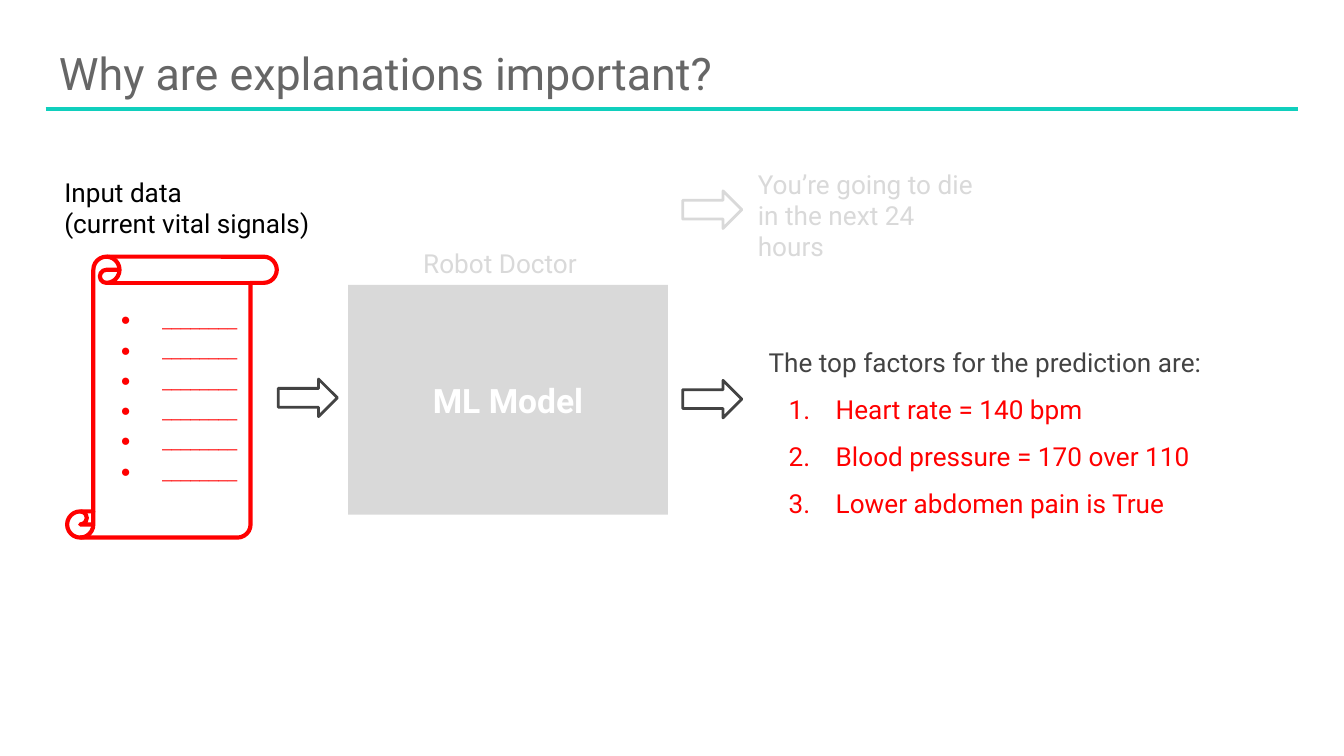
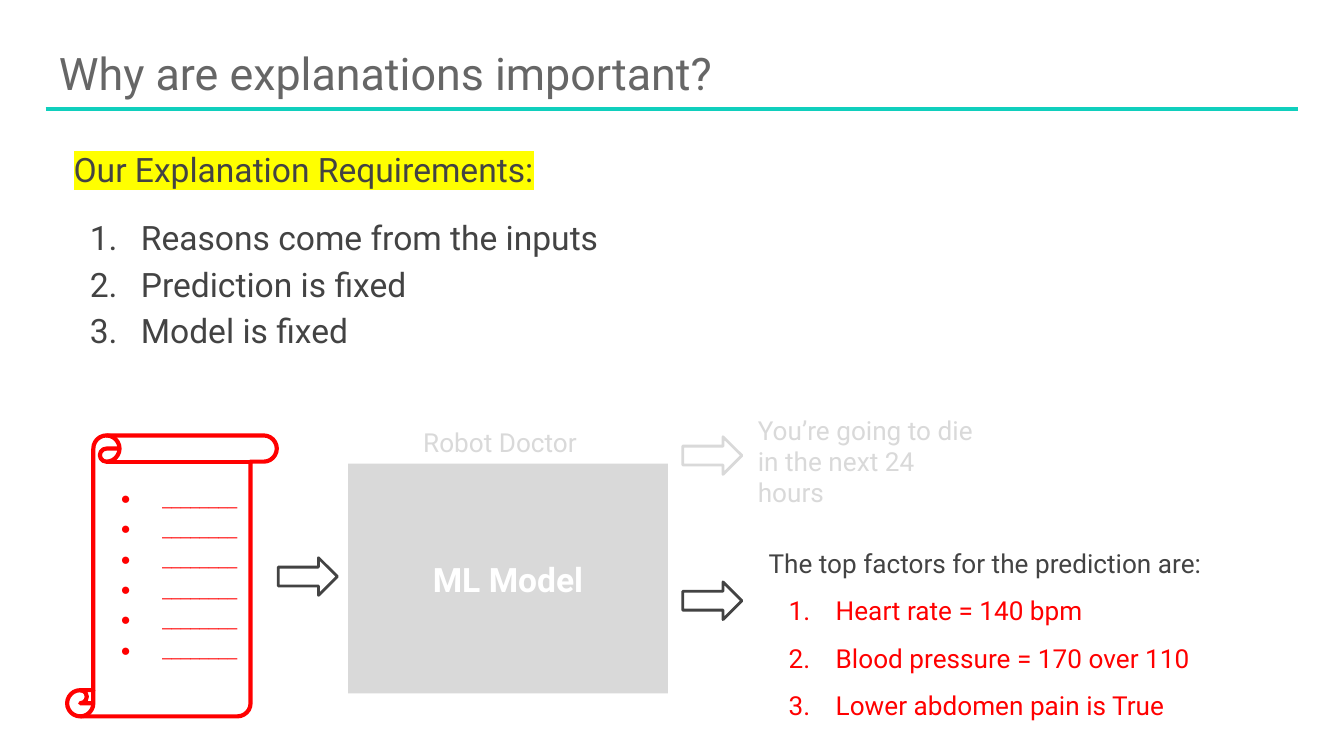
from pptx import Presentation
from pptx.dml.color import RGBColor
from pptx.enum.shapes import MSO_CONNECTOR as Connector, MSO_SHAPE as Shape
from pptx.enum.text import MSO_ANCHOR as Anchor, PP_ALIGN as Align
from pptx.oxml.ns import qn
from pptx.util import Inches, Pt
from lxml.etree import SubElement

SLIDE_WIDTH = 10
SLIDE_HEIGHT = SLIDE_WIDTH * 9 / 16

WHITE = RGBColor(0xFF, 0xFF, 0xFF)
BLACK = RGBColor(0x00, 0x00, 0x00)
DARK = RGBColor(0x43, 0x43, 0x43)
TITLE_GRAY = RGBColor(0x66, 0x66, 0x66)
FADED = RGBColor(0xD9, 0xD9, 0xD9)
TEAL = RGBColor(0x10, 0xCF, 0xBD)
RED = RGBColor(0xFF, 0x00, 0x00)
YELLOW = RGBColor(0xFF, 0xFF, 0x00)

TITLE = dict(name="Roboto", size=Pt(24), color=TITLE_GRAY)
HEADING = dict(name="Roboto", size=Pt(18), color=DARK)
MODEL = dict(name="Roboto", size=Pt(18), color=WHITE, bold=True)
BODY = dict(name="Roboto", size=Pt(14), color=DARK)
INPUT_LABEL = {**BODY, "color": BLACK}
FADED_BODY = {**BODY, "color": FADED}
FACTOR = {**BODY, "color": RED}
SCROLL_ROW = dict(name="Arial", size=Pt(9), color=RED)

ARROW_WIDTH, ARROW_HEIGHT = 0.44, 0.28
INPUT_LEFT, MODEL_LEFT, OUTPUT_LEFT = 0.5, 2.59, 5.08


def set_marker(paragraph, font_format, indent, bullet=None):
    """Hang the paragraph behind a bullet, or behind a number if none is given."""
    properties = paragraph._p.get_or_add_pPr()
    properties.set("marL", str(Inches(0.5)))
    properties.set("indent", str(-Inches(indent)))
    marker_color = SubElement(properties, qn("a:buClr"))
    SubElement(marker_color, qn("a:srgbClr"), val=str(font_format["color"]))
    SubElement(properties, qn("a:buFont"), typeface=font_format["name"])
    if bullet:
        SubElement(properties, qn("a:buChar"), char=bullet)
    else:
        SubElement(properties, qn("a:buAutoNum"), type="arabicPeriod")


def highlight(run, color):
    element = SubElement(run._r.get_or_add_rPr(), qn("a:highlight"))
    SubElement(element, qn("a:srgbClr"), val=str(color))
    run.font.fill._xPr.find(qn("a:solidFill")).addnext(element)


def write_lines(frame, lines, **paragraph_format):
    """Fill the frame with (text, font format) lines and return the paragraphs."""
    frame.word_wrap = True
    for side in ("left", "top", "right", "bottom"):
        setattr(frame, f"margin_{side}", Inches(0.1))
    for index, (text, font_format) in enumerate(lines):
        paragraph = frame.add_paragraph() if index else frame.paragraphs[0]
        for name, value in paragraph_format.items():
            setattr(paragraph, name, value)
        run = paragraph.add_run()
        run.text = text
        for name, value in font_format.items():
            if name == "color":
                run.font.color.rgb = value
            else:
                setattr(run.font, name, value)
    return frame.paragraphs


def add_text(shapes, left, top, width, height, lines, **paragraph_format):
    box = shapes.add_textbox(*map(Inches, (left, top, width, height)))
    return write_lines(box.text_frame, lines, **paragraph_format)


def add_outline(shapes, kind, left, top, width, height, color, weight):
    shape = shapes.add_shape(kind, *map(Inches, (left, top, width, height)))
    shape.shadow.inherit = False
    shape.fill.background()
    shape.line.color.rgb = color
    shape.line.width = Pt(weight)
    return shape


def add_arrow(shapes, left, top, color):
    add_outline(shapes, Shape.RIGHT_ARROW, left, top, ARROW_WIDTH, ARROW_HEIGHT, color, 1.5)


def add_title(shapes, left, top, text):
    rule_top = Inches(top + 0.57)
    rule = shapes.add_connector(
        Connector.STRAIGHT, Inches(left), rule_top, Inches(left + 9.32), rule_top)
    rule.line.color.rgb = TEAL
    rule.line.width = Pt(2)
    SubElement(rule._element.spPr, qn("a:effectLst"))
    add_text(shapes, left, top, 6.33, 0.7, [(text, TITLE)])


def add_input_scroll(shapes, left, top):
    scroll = add_outline(shapes, Shape.VERTICAL_SCROLL, left, top, 1.56, 2.09, RED, 2.25)
    scroll.adjustments[0] = 0.125
    rows = add_text(shapes, left + 0.11, top + 0.22, 1.38, 1.62,
                    [("________", SCROLL_ROW)] * 6, line_spacing=1.5)
    for row in rows:
        set_marker(row, SCROLL_ROW, 0.31, "●")


def add_model(shapes, left, top):
    group = shapes.add_group_shape()
    block = add_outline(group.shapes, Shape.RECTANGLE, left, top, 2.38, 1.71, FADED, 1)
    block.line.fill.background()
    block.fill.solid()
    block.fill.fore_color.rgb = FADED
    block.text_frame.vertical_anchor = Anchor.MIDDLE
    write_lines(block.text_frame, [("ML Model", MODEL)], alignment=Align.CENTER)
    add_text(group.shapes, left + 0.46, top - 0.38, 1.38, 0.38,
             [("Robot Doctor", FADED_BODY)])


def add_prediction(shapes, left, top):
    add_arrow(shapes, left, top, FADED)
    add_text(shapes, left + 0.46, top - 0.27, 1.85, 0.89,
             [("You’re going to die in the next 24 hours", FADED_BODY)])


def add_factors(shapes, left, top):
    add_arrow(shapes, left, top, DARK)
    factors = ("Heart rate = 140 bpm", "Blood pressure = 170 over 110",
               "Lower abdomen pain is True")
    lines = [("The top factors for the prediction are:", BODY)]
    lines += [(factor, FACTOR) for factor in factors]
    paragraphs = add_text(shapes, left + 0.54, top - 0.47, 4, 1.73, lines, line_spacing=1.5)
    for paragraph in paragraphs[1:]:
        set_marker(paragraph, FACTOR, 0.35)


def add_diagram(shapes, model_top, prediction_top, factors_top):
    add_prediction(shapes, OUTPUT_LEFT, prediction_top)
    add_model(shapes, MODEL_LEFT, model_top)
    add_input_scroll(shapes, INPUT_LEFT, model_top - 0.21)
    add_arrow(shapes, INPUT_LEFT + 1.57, model_top + 0.7, DARK)
    add_factors(shapes, OUTPUT_LEFT, factors_top)


def add_requirements(shapes, left, top):
    requirements = ("Our Explanation Requirements:", "Reasons come from the inputs",
                    "Prediction is fixed", "Model is fixed")
    heading, *items = add_text(shapes, left, top, 8.73, 1.85,
                               [(text, HEADING) for text in requirements],
                               line_spacing=1.15)
    highlight(heading.runs[0], YELLOW)
    items[0].space_before = Pt(12)
    for item in items:
        set_marker(item, HEADING, 0.38)


def add_slide(presentation):
    slide = presentation.slides.add_slide(presentation.slide_layouts[6])
    slide.background.fill.solid()
    slide.background.fill.fore_color.rgb = WHITE
    add_title(slide.shapes, 0.34, 0.24, "Why are explanations important?")
    return slide


def build_example_slide(presentation):
    shapes = add_slide(presentation).shapes
    add_diagram(shapes, model_top=2.12, prediction_top=1.42, factors_top=2.83)
    add_text(shapes, 0.38, 1.21, 2.12, 0.7,
             [("Input data", INPUT_LABEL), ("(current vital signals)", INPUT_LABEL)])


def build_requirements_slide(presentation):
    shapes = add_slide(presentation).shapes
    add_requirements(shapes, 0.45, 0.96)
    add_diagram(shapes, model_top=3.45, prediction_top=3.25, factors_top=4.33)


def main():
    presentation = Presentation()
    presentation.slide_width = Inches(SLIDE_WIDTH)
    presentation.slide_height = Inches(SLIDE_HEIGHT)
    build_example_slide(presentation)
    build_requirements_slide(presentation)
    presentation.save("out.pptx")


if __name__ == "__main__":
    main()
